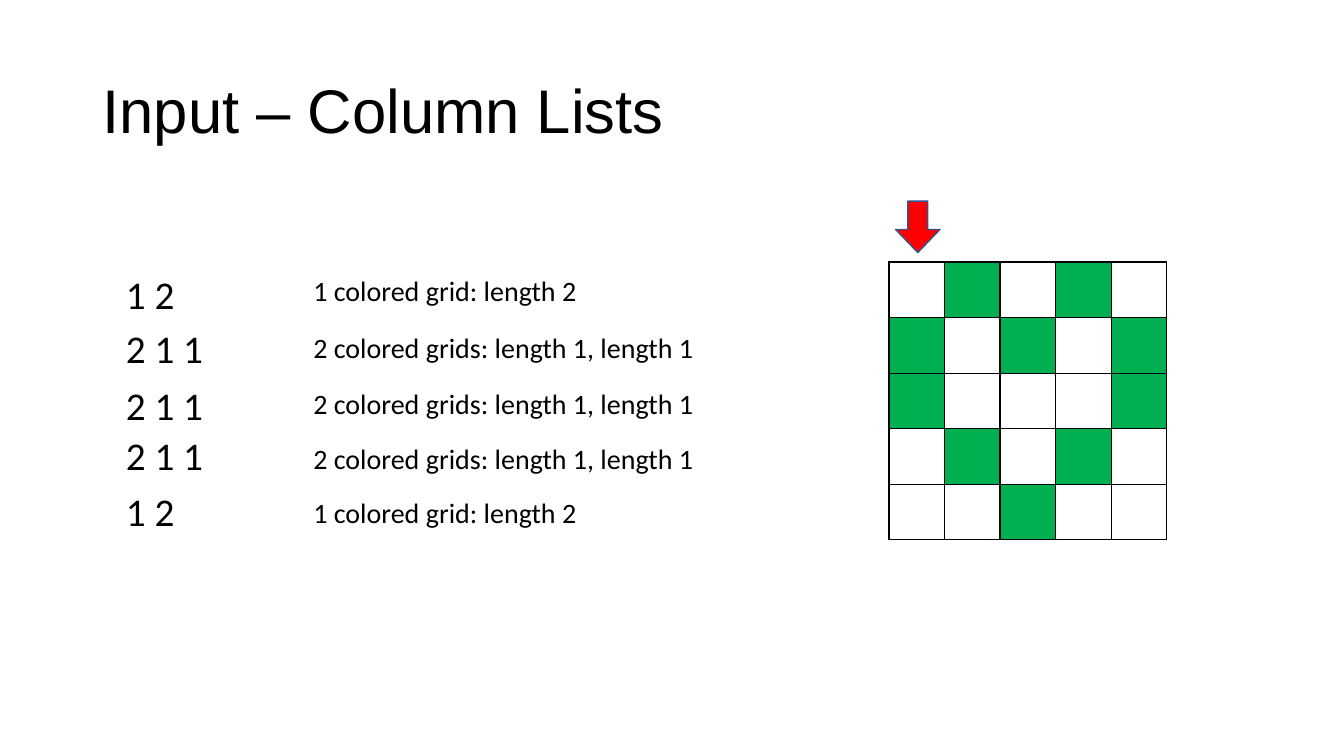
from dataclasses import dataclass

from lxml import etree
from pptx import Presentation
from pptx import util as u
from pptx.dml.color import RGBColor
from pptx.enum import shapes, text
from pptx.oxml import ns


@dataclass(frozen=True)
class Theme:
    """Colours, fonts and type sizes of the slide."""
    ink: str = "000000"
    filled: str = "00B050"
    arrow: str = "FF0000"
    arrow_line: str = "325491"
    title_font: str = "Arial"
    body_font: str = "Calibri"
    title_size: float = 44
    list_size: float = 28
    note_size: float = 20


THEME = Theme()
GRID = (".#.#.", "#.#.#", "#...#", ".#.#.", "..#..")
COLUMN_LISTS = ("1 2", "2 1 1", "2 1 1", "2 1 1", "1 2")
ONE_RUN = "1 colored grid: length 2"
TWO_RUNS = "2 colored grids: length 1, length 1"
NOTES = (ONE_RUN, TWO_RUNS, TWO_RUNS, TWO_RUNS, ONE_RUN)
LIST_OFFSETS = (0, 38.9, 79.2, 115.2, 154.8)
NOTE_OFFSETS = (0, 41, 81.4, 120.2, 159.1)


def write(tf, content, *, font, size, color=THEME.ink, spacing=None):
    """Fill a text frame with one formatted, left-aligned paragraph."""
    tf.word_wrap = True
    p = tf.paragraphs[0]
    p.alignment = text.PP_ALIGN.LEFT
    if spacing:
        p.line_spacing = spacing
    r = p.add_run()
    r.text = content
    r.font.name = font
    r.font.size = u.Pt(size)
    r.font.color.rgb = RGBColor.from_string(color)


def place_title(s, content, left, top, width, height):
    """Move the title placeholder to its box and write it."""
    sp = s.shapes.title
    sp.left, sp.top, sp.width, sp.height = map(u.Pt, (left, top, width, height))
    tf = sp.text_frame
    tf.auto_size = text.MSO_AUTO_SIZE.NONE
    tf.vertical_anchor = text.MSO_ANCHOR.MIDDLE
    write(tf, content, font=THEME.title_font, size=THEME.title_size, spacing=0.9)


def add_lines(s, lines, offsets, size, left, top, width, height):
    """Stack one text box per line at the given offsets below the top."""
    for content, offset in zip(lines, offsets):
        sp = s.shapes.add_textbox(*map(u.Pt, (left, top + offset, width, height)))
        write(sp.text_frame, content, font=THEME.body_font, size=size)
        sp.text_frame.auto_size = text.MSO_AUTO_SIZE.SHAPE_TO_FIT_TEXT


def add_borders(cell):
    """Draw a one-point line on all four sides of a cell."""
    tc_pr = cell._tc.get_or_add_tcPr()
    for side in ("lnL", "lnR", "lnT", "lnB"):
        ln = etree.SubElement(tc_pr, ns.qn(f"a:{side}"), w=str(u.Pt(1)))
        fill = etree.SubElement(ln, ns.qn("a:solidFill"))
        etree.SubElement(fill, ns.qn("a:srgbClr"), val=THEME.ink)


def add_grid(s, pattern, left, top, side):
    """Draw the square puzzle grid as a table, colouring each # cell."""
    n = len(pattern)
    table = s.shapes.add_table(n, n, *map(u.Pt, (left, top, side, side))).table
    table.first_row = table.horz_banding = False
    for i, marks in enumerate(pattern):
        table.rows[i].height = table.columns[i].width = u.Pt(side / n)
        for j, mark in enumerate(marks):
            cell = table.cell(i, j)
            add_borders(cell)
            if mark == "#":
                cell.fill.solid()
                cell.fill.fore_color.rgb = RGBColor.from_string(THEME.filled)
            else:
                cell.fill.background()


def add_column_arrow(s, left, top, length, breadth):
    """Draw the downward arrow that marks the first column."""
    box = map(u.Pt, (left, top, length, breadth))
    sp = s.shapes.add_shape(shapes.MSO_SHAPE.RIGHT_ARROW, *box)
    sp.rotation = 90
    sp.adjustments[0], sp.adjustments[1] = 0.45, 0.52
    sp.shadow.inherit = False
    sp.fill.solid()
    sp.fill.fore_color.rgb = RGBColor.from_string(THEME.arrow)
    sp.line.color.rgb = RGBColor.from_string(THEME.arrow_line)
    sp.line.width = u.Pt(1)


def build_column_lists(prs):
    """Add the slide that explains the column lists."""
    s = prs.slides.add_slide(prs.slide_layouts[5])
    place_title(s, "Input – Column Lists", 66, 28.8, 828, 104.4)
    add_lines(s, COLUMN_LISTS, LIST_OFFSETS, THEME.list_size, 82.8, 189.4, 72.7, 41)
    add_lines(s, NOTES, NOTE_OFFSETS, THEME.note_size, 216.7, 191.5, 291, 31.7)
    add_grid(s, GRID, 635, 187.2, 198.5)
    add_column_arrow(s, 637.2, 146.2, 36.7, 31.7)


def main():
    """Build and save the presentation."""
    prs = Presentation()
    prs.slide_width, prs.slide_height = u.Pt(960), u.Pt(540)
    build_column_lists(prs)
    prs.save("out.pptx")


if __name__ == "__main__":
    main()
